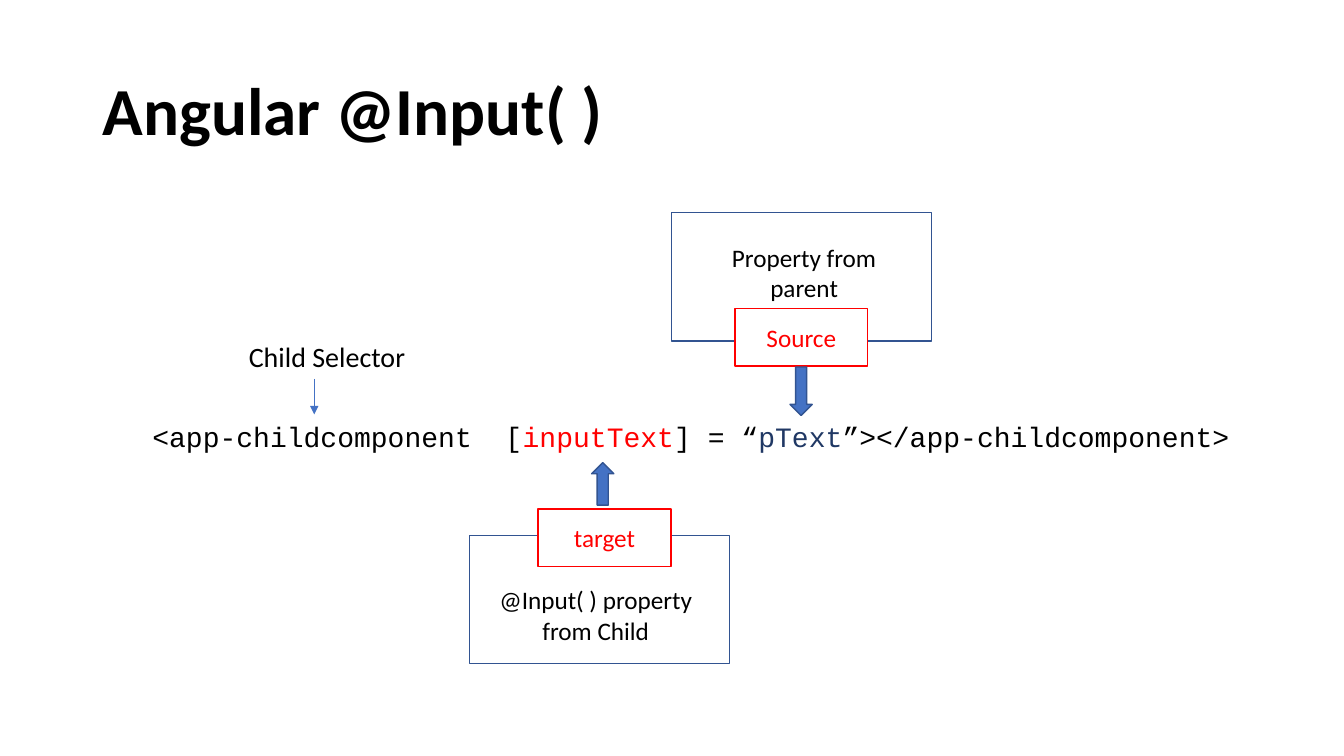
from lxml.etree import SubElement
from pptx import Presentation
from pptx.dml.color import RGBColor
from pptx.enum.shapes import MSO_CONNECTOR as Connector, MSO_SHAPE as Shape
from pptx.enum.text import MSO_ANCHOR as Anchor, MSO_AUTO_SIZE as AutoSize, PP_ALIGN as Align
from pptx.oxml.ns import qn
from pptx.util import Cm, Pt

BLACK = RGBColor(0x00, 0x00, 0x00)
WHITE = RGBColor(0xFF, 0xFF, 0xFF)
RED = RGBColor(0xFF, 0x00, 0x00)
NAVY = RGBColor(0x20, 0x38, 0x64)
BLUE = RGBColor(0x44, 0x72, 0xC4)
OUTLINE = RGBColor(0x32, 0x54, 0x91)

BOX_SIZE = (6.55, 3.23)
TAG_SIZE = (3.35, 1.45)
CAPTION_SIZE = (5.69, 1.8)


def write_text(frame, text, size=18, font="Calibri", color=BLACK, bold=False,
               align=Align.CENTER, anchor=Anchor.TOP, spacing=1.0):
    frame.word_wrap = True
    frame.auto_size = AutoSize.NONE
    frame.vertical_anchor = anchor
    paragraph = frame.paragraphs[0]
    paragraph.alignment = align
    paragraph.line_spacing = spacing
    pieces = [(text, color)] if isinstance(text, str) else text
    for piece, piece_color in pieces:
        run = paragraph.add_run()
        run.text = piece
        run.font.name = font
        run.font.size = Pt(size)
        run.font.bold = bold
        run.font.color.rgb = piece_color


class DiagramSlide:
    def __init__(self, presentation):
        self.slide = presentation.slides.add_slide(presentation.slide_layouts[5])

    def title(self, text, left, top, width, height):
        title = self.slide.shapes.title
        title.left, title.top = Cm(left), Cm(top)
        title.width, title.height = Cm(width), Cm(height)
        write_text(title.text_frame, text, size=48, bold=True, align=Align.LEFT,
                   anchor=Anchor.MIDDLE, spacing=0.9)

    def text(self, text, left, top, width, height, **style):
        box = self.slide.shapes.add_textbox(Cm(left), Cm(top), Cm(width), Cm(height))
        write_text(box.text_frame, text, **style)

    def shape(self, kind, left, top, width, height, fill=None, line=OUTLINE):
        shape = self.slide.shapes.add_shape(kind, Cm(left), Cm(top), Cm(width), Cm(height))
        shape.shadow.inherit = False
        if fill is None:
            shape.fill.background()
        else:
            shape.fill.solid()
            shape.fill.fore_color.rgb = fill
        shape.line.color.rgb = line
        shape.line.width = Pt(1)
        return shape

    def tag(self, text, left, top):
        tag = self.shape(Shape.RECTANGLE, left, top, *TAG_SIZE, fill=WHITE, line=RED)
        write_text(tag.text_frame, text, color=RED, anchor=Anchor.MIDDLE)

    def arrow(self, x, top, bottom):
        arrow = self.slide.shapes.add_connector(
            Connector.STRAIGHT, Cm(x), Cm(top), Cm(x), Cm(bottom))
        arrow.line.color.rgb = BLUE
        arrow.line.width = Pt(0.5)
        SubElement(arrow.line._get_or_add_ln(), qn("a:tailEnd"), type="triangle")
        SubElement(arrow._element.spPr, qn("a:effectLst"))


def main():
    presentation = Presentation()
    presentation.slide_width, presentation.slide_height = Cm(33.87), Cm(19.05)
    diagram = DiagramSlide(presentation)

    diagram.title("Angular @Input( )", 2.33, 1.02, 29.21, 3.68)
    markup = [("<app-childcomponent  [", BLACK), ("inputText", RED), ("] = “", BLACK),
              ("pText", NAVY), ("”></app-childcomponent>", BLACK)]
    diagram.text(markup, 0.97, 10.44, 32.89, 1.12, size=20, font="Courier New")
    diagram.text("Child Selector", 6.02, 8.43, 4.72, 1.12, size=20, align=Align.LEFT)
    diagram.arrow(7.92, 9.55, 10.44)

    diagram.shape(Shape.RECTANGLE, 11.84, 13.49, *BOX_SIZE)
    diagram.text("@Input( ) property from Child", 12.17, 14.61, *CAPTION_SIZE)
    diagram.tag("target", 13.56, 12.83)
    diagram.shape(Shape.UP_ARROW, 14.91, 11.66, 0.56, 1.07, fill=BLUE)

    diagram.shape(Shape.RECTANGLE, 16.92, 5.36, *BOX_SIZE)
    diagram.tag("Source", 18.52, 7.77)
    diagram.text("Property from parent", 17.42, 5.97, *CAPTION_SIZE)
    diagram.shape(Shape.DOWN_ARROW, 19.91, 9.25, 0.56, 1.22, fill=BLUE)

    presentation.save("out.pptx")


if __name__ == "__main__":
    main()
